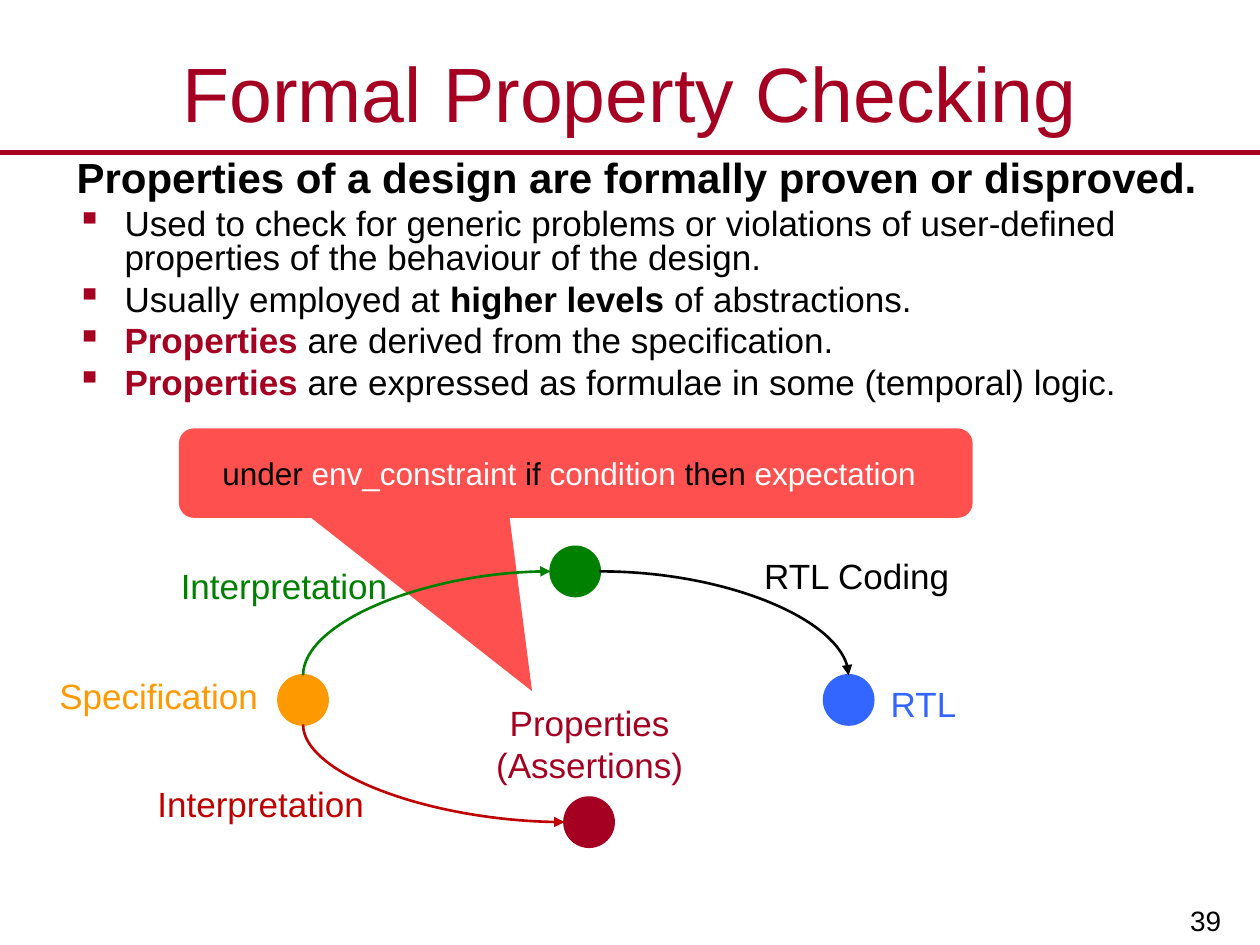
from dataclasses import dataclass

import lxml.etree
import pptx
import pptx.dml.color
import pptx.enum.shapes
import pptx.enum.text
import pptx.oxml.ns
import pptx.util

Inches = pptx.util.Inches
Shapes = pptx.enum.shapes.MSO_SHAPE
Align = pptx.enum.text.PP_ALIGN
Anchor = pptx.enum.text.MSO_ANCHOR
AutoSize = pptx.enum.text.MSO_AUTO_SIZE
qn = pptx.oxml.ns.qn

COLORS = {
    "black": "000000", "white": "FFFFFF", "crimson": "A50021", "coral": "FF5050",
    "orange": "FF9900", "blue": "3366FF", "green": "008000", "red": "C00000",
}
NODE_SIZE = 0.39
ELLIPSE_SITES = {"top": 0, "left": 2, "bottom": 4, "right": 6}


@dataclass
class Span:
    text: str
    color: str = "black"
    bold: bool = False


@dataclass
class Node:
    left: float
    top: float
    color: str

    def side(self, name: str) -> tuple[float, float]:
        half = NODE_SIZE / 2
        across, down = {"top": (0, -half), "bottom": (0, half),
                        "left": (-half, 0), "right": (half, 0)}[name]
        return self.left + half + across, self.top + half + down


@dataclass
class Label:
    text: str
    left: float
    top: float
    width: float
    height: float
    color: str


@dataclass
class Arc:
    start: str
    start_side: str
    end: str
    end_side: str
    color: str
    rotation: int = 0


NODES = {
    "specification": Node(2.21, 5.36, "orange"),
    "properties": Node(4.48, 6.33, "crimson"),
    "rtl": Node(6.54, 5.36, "blue"),
    "design": Node(4.37, 4.34, "green"),
}
LABELS = [
    Label("RTL", 6.93, 5.36, 0.8, 0.44, "blue"),
    Label("Specification", 0.24, 5.29, 2.04, 0.44, "orange"),
    Label("Interpretation", 0.87, 6.15, 2.4, 0.44, "red"),
    Label("Properties (Assertions)", 3.75, 5.51, 1.86, 0.77, "crimson"),
    Label("RTL Coding", 5.83, 4.34, 1.94, 0.44, "black"),
    Label("Interpretation", 1.19, 4.42, 2.13, 0.44, "green"),
]
ARCS = [
    Arc("design", "right", "rtl", "top", "black"),
    Arc("specification", "bottom", "properties", "left", "red", 270),
    Arc("specification", "top", "design", "left", "green", 90),
]
HEADLINE = [Span("Properties of a design are formally proven or disproved.", bold=True)]
BULLETS = [
    [Span("Used to check for generic problems or violations of user-defined "
          "properties of the behaviour of the design.")],
    [Span("Usually employed at "), Span("higher levels ", bold=True), Span("of abstractions.")],
    [Span("Properties ", "crimson", True), Span("are derived from the specification.")],
    [Span("Properties ", "crimson", True),
     Span("are expressed as formulae in some (temporal) logic.")],
]
RULE_SPANS = [
    Span("under "), Span("env_constraint ", "white"), Span("if "),
    Span("condition ", "white"), Span("then "), Span("expectation", "white"),
]


def rgb(name: str) -> pptx.dml.color.RGBColor:
    return pptx.dml.color.RGBColor.from_string(COLORS[name])


def apply(target, **values) -> None:
    for name, value in values.items():
        setattr(target, name, value)


def write(para, spans: list[Span], size: float) -> None:
    for span in spans:
        run = para.add_run()
        run.text = span.text
        apply(run.font, name="Arial", size=pptx.util.Pt(size), bold=span.bold)
        run.font.color.rgb = rgb(span.color)


def add_text(page, at: tuple, **values):
    box = page.shapes.add_textbox(*map(Inches, at))
    apply(box.text_frame, word_wrap=True, **values)
    return box.text_frame


def add_filled(page, kind, at: tuple, color: str):
    shape = page.shapes.add_shape(kind, *map(Inches, at))
    shape.shadow.inherit = False
    shape.fill.solid()
    shape.fill.fore_color.rgb = rgb(color)
    shape.line.fill.background()
    return shape


def style_line(connector, color: str, width: float) -> None:
    connector.line.color.rgb = rgb(color)
    connector.line.width = pptx.util.Pt(width)
    lxml.etree.SubElement(connector._element.spPr, qn("a:effectLst"))


def add_node(page, node: Node):
    shape = add_filled(page, Shapes.OVAL, (node.left, node.top, NODE_SIZE, NODE_SIZE), node.color)
    shape.line.color.rgb = rgb(node.color)
    shape.line.width = pptx.util.Pt(1.5)
    return shape


def add_arc(page, arc: Arc, circles: dict) -> None:
    x1, y1 = NODES[arc.start].side(arc.start_side)
    x2, y2 = NODES[arc.end].side(arc.end_side)
    if arc.rotation:
        middle_x, middle_y = (x1 + x2) / 2, (y1 + y2) / 2
        half_width, half_height = abs(y2 - y1) / 2, (x2 - x1) / 2
        flip = 1 if arc.rotation == 270 else -1
        x1, x2 = middle_x + half_width, middle_x - half_width
        y1, y2 = middle_y - flip * half_height, middle_y + flip * half_height
    connector = page.shapes.add_connector(
        pptx.enum.shapes.MSO_CONNECTOR.CURVE, *map(Inches, (x1, y1, x2, y2)))
    style_line(connector, arc.color, 1.5)
    properties = connector._element.spPr
    properties.find(qn("a:prstGeom")).set("prst", "curvedConnector2")
    properties.find(qn("a:xfrm")).set("rot", str(arc.rotation * 60000))
    lxml.etree.SubElement(properties.find(qn("a:ln")), qn("a:tailEnd"), type="triangle")
    joints = connector._element.find(".//" + qn("p:cNvCxnSpPr"))
    for tag, name, side in (("a:stCxn", arc.start, arc.start_side),
                            ("a:endCxn", arc.end, arc.end_side)):
        lxml.etree.SubElement(joints, qn(tag), id=str(circles[name].shape_id),
                              idx=str(ELLIPSE_SITES[side]))


def add_bullet(para) -> None:
    properties = para._p.get_or_add_pPr()
    properties.set("marL", str(Inches(0.38)))
    properties.set("indent", str(Inches(-0.38)))
    color = lxml.etree.SubElement(properties, qn("a:buClr"))
    lxml.etree.SubElement(color, qn("a:srgbClr"), val=COLORS["crimson"])
    lxml.etree.SubElement(properties, qn("a:buChar"), char="▪")


def main() -> None:
    deck = pptx.Presentation()
    apply(deck, slide_width=Inches(10), slide_height=Inches(7.5))
    page = deck.slides.add_slide(deck.slide_layouts[5])

    title = page.shapes.title
    apply(title, left=Inches(0), top=Inches(0.3), width=Inches(10), height=Inches(0.86))
    apply(title.text_frame, vertical_anchor=Anchor.MIDDLE, auto_size=AutoSize.NONE)
    heading = title.text_frame.paragraphs[0]
    heading.alignment = Align.CENTER
    write(heading, [Span("Formal Property Checking", "crimson")], 44)

    rule = page.shapes.add_connector(
        pptx.enum.shapes.MSO_CONNECTOR.STRAIGHT, *map(Inches, (0, 1.21, 10, 1.21)))
    style_line(rule, "crimson", 3)

    number = add_text(page, (7.8, 6.93, 1.99, 0.57), vertical_anchor=Anchor.BOTTOM,
                      margin_bottom=Inches(0.06)).paragraphs[0]
    number.alignment = Align.RIGHT
    write(number, [Span("39")], 16)

    callout = add_filled(page, Shapes.ROUNDED_RECTANGULAR_CALLOUT, (1.42, 3.4, 6.3, 0.71), "coral")
    for index, value in enumerate((-0.055, 2.438, 0.167)):
        callout.adjustments[index] = value
    apply(callout.text_frame, vertical_anchor=Anchor.MIDDLE, margin_left=Inches(0.31))
    callout.text_frame.paragraphs[0].alignment = Align.LEFT
    write(callout.text_frame.paragraphs[0], RULE_SPANS, 18)

    body = add_text(page, (0.51, 1.23, 9.22, 2.05))
    body.paragraphs[0].line_spacing = 0.8
    write(body.paragraphs[0], HEADLINE, 24)
    for spans in BULLETS:
        para = body.add_paragraph()
        add_bullet(para)
        apply(para, line_spacing=0.8, space_before=pptx.util.Pt(4.7))
        write(para, spans, 20)

    circles = {name: add_node(page, node) for name, node in NODES.items()}
    for arc in ARCS:
        add_arc(page, arc, circles)
    for label in LABELS:
        frame = add_text(page, (label.left, label.top, label.width, label.height),
                         auto_size=AutoSize.SHAPE_TO_FIT_TEXT,
                         margin_top=Inches(0.06), margin_bottom=Inches(0.06))
        frame.paragraphs[0].alignment = Align.CENTER
        write(frame.paragraphs[0], [Span(label.text, label.color)], 20)

    deck.save("out.pptx")


if __name__ == "__main__":
    main()
